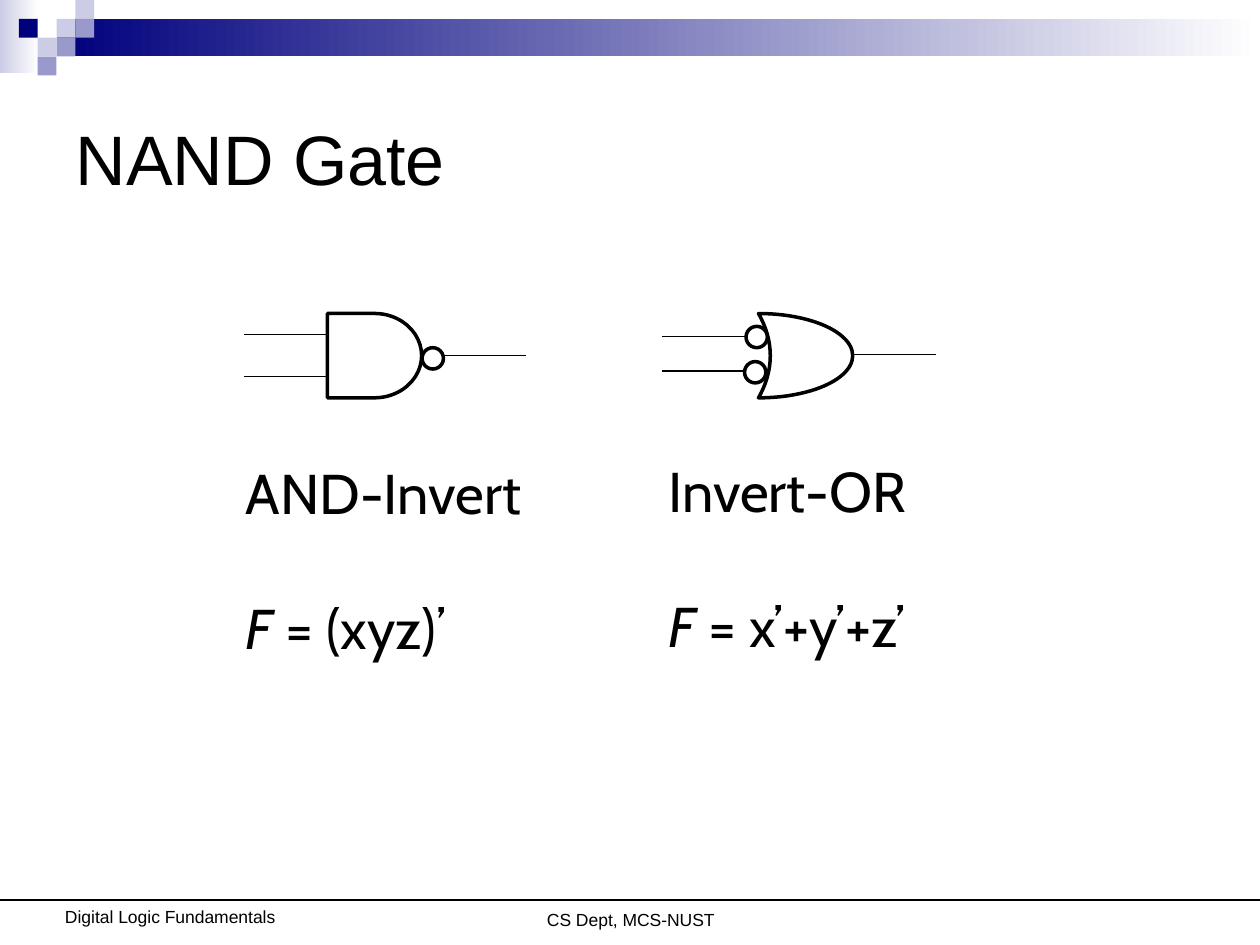
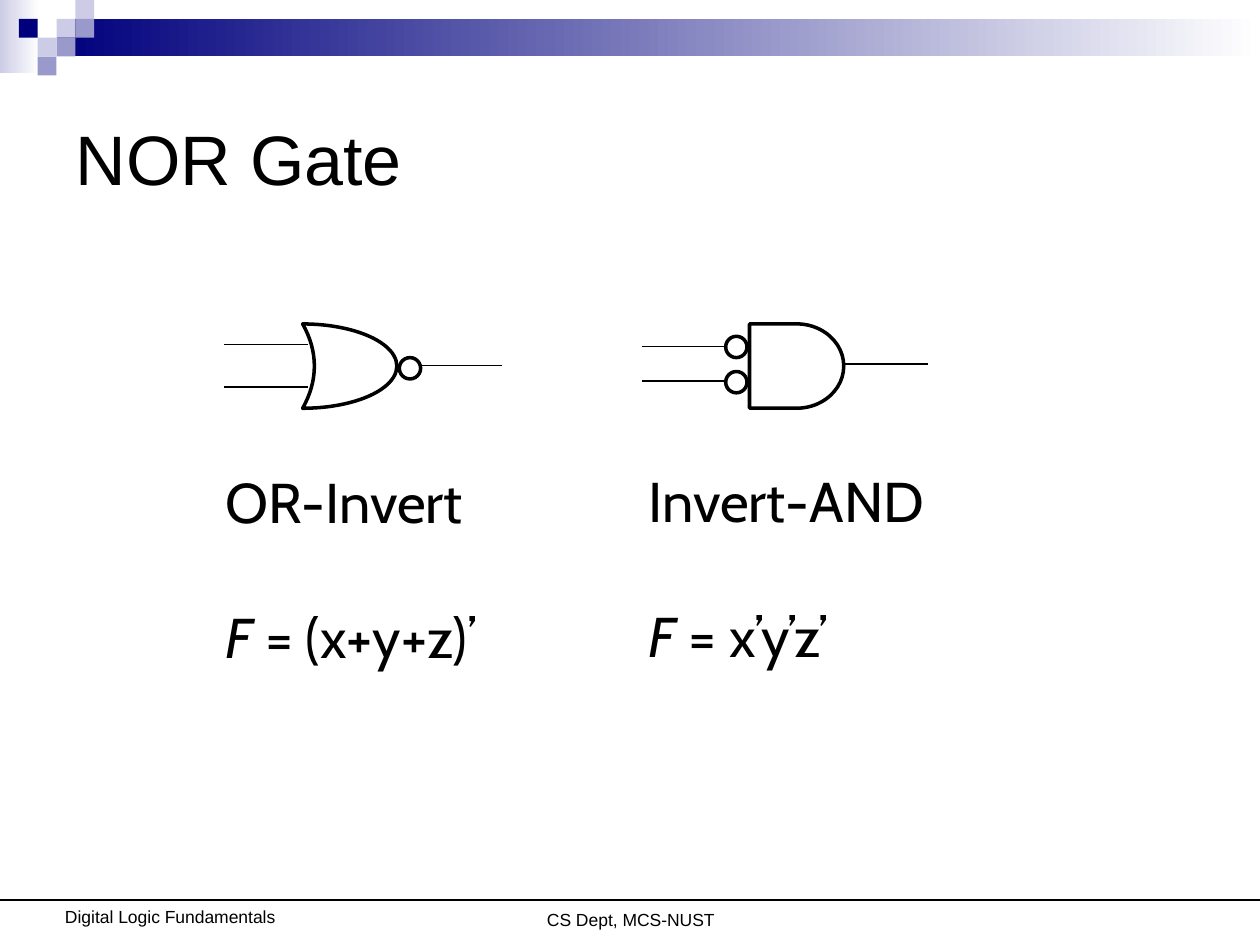
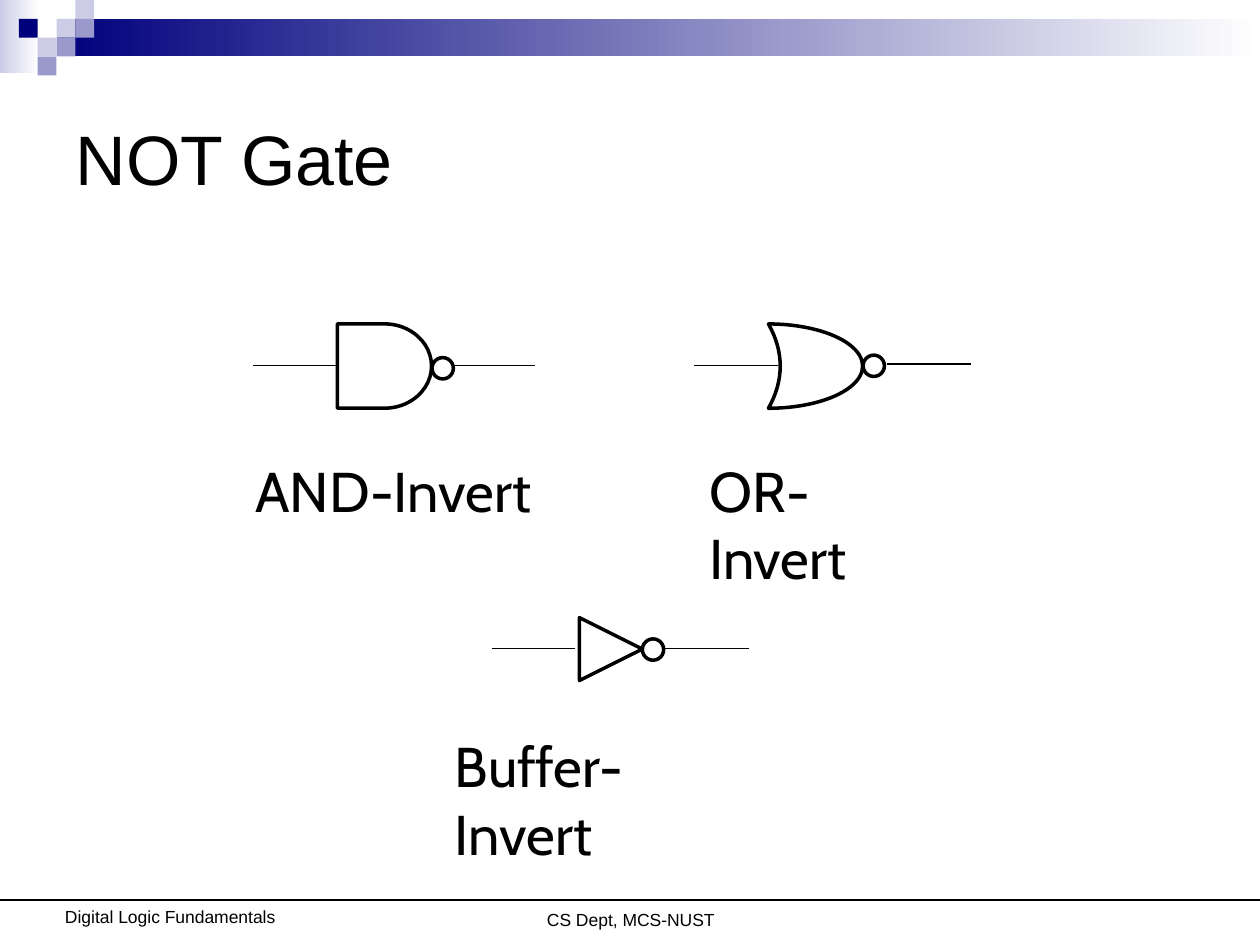
import lxml.etree
import pptx
import pptx.dml.color
import pptx.enum.shapes
import pptx.enum.text
import pptx.oxml.ns
import pptx.util

Cm, Pt = pptx.util.Cm, pptx.util.Pt
RGBColor = pptx.dml.color.RGBColor
SHAPE = pptx.enum.shapes.MSO_SHAPE
ANCHOR = pptx.enum.text.MSO_ANCHOR
ALIGN = pptx.enum.text.PP_ALIGN

BLACK = RGBColor(0x00, 0x00, 0x00)
WHITE = RGBColor(0xFF, 0xFF, 0xFF)
NAVY = RGBColor(0x00, 0x00, 0x7D)
LILAC = RGBColor(0x99, 0x99, 0xCC)
PALE = RGBColor(0xCC, 0xCC, 0xE6)

TITLE_FONT, LABEL_FONT = "Arial", "Cabin"
SQUARE = 0.38       # side of a header square, cm
WIRE = 1.69         # length of every wire, cm
BUBBLE = 0.43       # diameter of an inversion bubble, cm
LABEL_WIDTH = 6.2

# Header squares: column, row, colour
SQUARES = [(3, 1, PALE), (4, 0, PALE), (4, 1, LILAC), (2, 2, PALE),
           (1, 1, NAVY), (3, 2, LILAC), (2, 3, LILAC)]

# Gate bodies: preset shape, width, height, rotation
AND = (SHAPE.FLOWCHART_DELAY, 1.9, 1.7, 0)
OR = (SHAPE.MOON, 1.9, 1.7, 180)
BUFFER = (SHAPE.ISOSCELES_TRIANGLE, 1.27, 1.27, 90)


class Deck:
    def __init__(self):
        self.prs = pptx.Presentation()
        self.prs.slide_width, self.prs.slide_height = Cm(25.4), Cm(19.05)

    def new_slide(self, title):
        self.s = self.prs.slides.add_slide(self.prs.slide_layouts[5])
        self.header()
        self.footer()
        self.title(title)

    # Basic elements
    def shape(self, shapes, kind, x, y, w, h, fill=None, outline=None):
        sp = shapes.add_shape(kind, Cm(x), Cm(y), Cm(w), Cm(h))
        sp.shadow.inherit = False
        if fill is None:
            sp.fill.background()
        elif isinstance(fill, tuple) and not isinstance(fill, RGBColor):
            sp.fill.gradient()
            sp.fill.gradient_angle = 0
            for stop, color in zip(sp.fill.gradient_stops, fill):
                stop.color.rgb = color
        else:
            sp.fill.solid()
            sp.fill.fore_color.rgb = fill
        if outline:
            sp.line.color.rgb = BLACK
            sp.line.width = Pt(outline)
        else:
            sp.line.fill.background()
        return sp

    def line(self, shapes, x, y, length):
        c = shapes.add_connector(pptx.enum.shapes.MSO_CONNECTOR.STRAIGHT,
                                 Cm(x), Cm(y), Cm(x + length), Cm(y))
        c.line.color.rgb = BLACK
        c.line.width = Pt(0.75)
        lxml.etree.SubElement(c.element.spPr, pptx.oxml.ns.qn("a:effectLst"))

    def text_box(self, x, y, w, h):
        tf = self.s.shapes.add_textbox(Cm(x), Cm(y), Cm(w), Cm(h)).text_frame
        tf.word_wrap = True
        return tf

    def style(self, p, font, size):
        for r in p.runs:
            r.font.name = font
            r.font.size = Pt(size)
            r.font.color.rgb = BLACK

    # Parts shared by all slides
    def header(self):
        shapes = self.s.shapes
        self.shape(shapes, SHAPE.RECTANGLE, 0, 0, 0.79, 1.47, (PALE, WHITE))
        self.shape(shapes, SHAPE.RECTANGLE, 3 * SQUARE, SQUARE,
                   25.4 - 3 * SQUARE, 2 * SQUARE, (NAVY, WHITE))
        for col, row, color in SQUARES:
            self.shape(shapes, SHAPE.RECTANGLE, col * SQUARE, row * SQUARE,
                       SQUARE, SQUARE, color)

    def footer(self):
        for text, x, y, w in [("CS Dept, MCS-NUST", 7.42, 17.4, 10.59),
                              ("Digital Logic Fundamentals", 0.89, 17.35, 5.08)]:
            tf = self.text_box(x, y, w, 1.34)
            tf.vertical_anchor = ANCHOR.BOTTOM
            tf.margin_bottom = 0
            p = tf.paragraphs[0]
            p.text = text
            p.alignment = ALIGN.CENTER
            self.style(p, TITLE_FONT, 10)
        self.line(self.s.shapes, 0, 18.14, 25.4)

    def title(self, text):
        sp = self.s.shapes.title
        sp.left, sp.top, sp.width, sp.height = Cm(1.27), Cm(1.27), Cm(22.86), Cm(3.81)
        tf = sp.text_frame
        tf.text = text
        tf.vertical_anchor = ANCHOR.MIDDLE
        p = tf.paragraphs[0]
        p.alignment = ALIGN.LEFT
        self.style(p, TITLE_FONT, 40)

    # Logic diagrams
    def gate(self, body, at, wires, bubbles):
        shapes = self.s.shapes.add_group_shape().shapes
        kind, w, h, rotation = body
        sp = self.shape(shapes, kind, *at, w, h, outline=2)
        sp.rotation = rotation
        if kind == SHAPE.MOON:
            sp.adjustments[0] = 0.875
        for x, y in wires:
            self.line(shapes, x, y, WIRE)
        for x, y in bubbles:
            self.shape(shapes, SHAPE.FLOWCHART_CONNECTOR, x, y, BUBBLE, BUBBLE, WHITE, 2)

    def label(self, x, y, name, formula=None, width=LABEL_WIDTH):
        tf = self.text_box(x, y, width, 4.32 if formula else 1.6)
        tf.text = name
        if formula:
            p = tf.add_paragraph()
            p.space_before = Pt(38.9)
            for text, italic in (("F ", True), (formula, False)):
                r = p.add_run()
                r.text = text
                r.font.italic = italic
        for p in tf.paragraphs:
            self.style(p, LABEL_FONT, 32)


def main():
    d = Deck()

    # NAND
    d.new_slide("NAND Gate")
    d.gate(AND, (6.6, 6.32), [(4.92, 6.74), (4.92, 7.59), (8.92, 7.16)], [(8.51, 7.01)])
    d.label(4.7, 9.12, "AND-Invert", "= (xyz)’")
    d.gate(OR, (15.29, 6.32), [(13.35, 6.78), (13.35, 7.48), (17.17, 7.14)],
           [(15.04, 6.58), (15.01, 7.29)])
    d.label(13.23, 9.07, "Invert-OR", "= x’+y’+z’")

    # NOR
    d.new_slide("NOR Gate")
    d.gate(OR, (6.1, 6.53), [(4.52, 6.95), (4.52, 7.8), (8.43, 7.37)], [(8.05, 7.21)])
    d.label(4.29, 9.3, "OR-Invert", "= (x+y+z)’")
    d.gate(AND, (15.11, 6.53), [(12.94, 6.99), (12.94, 7.68), (17.02, 7.34)],
           [(14.63, 6.78), (14.63, 7.49)])
    d.label(12.83, 9.27, "Invert-AND", "= x’y’z’")

    # NOT
    d.new_slide("NOT Gate")
    d.gate(AND, (6.8, 6.53), [(5.11, 7.37), (9.09, 7.37)], [(8.71, 7.21)])
    d.label(4.9, 9.07, "AND-Invert")
    d.gate(OR, (15.49, 6.53), [(14, 7.37), (17.88, 7.34)], [(17.4, 7.16)])
    d.label(14.05, 9.07, "OR-Invert", width=5.2)
    d.gate(BUFFER, (11.68, 12.45), [(9.91, 13.08), (13.41, 13.08)], [(12.95, 12.88)])
    d.label(8.92, 14.63, "Buffer-Invert")

    d.prs.save("out.pptx")


if __name__ == "__main__":
    main()
